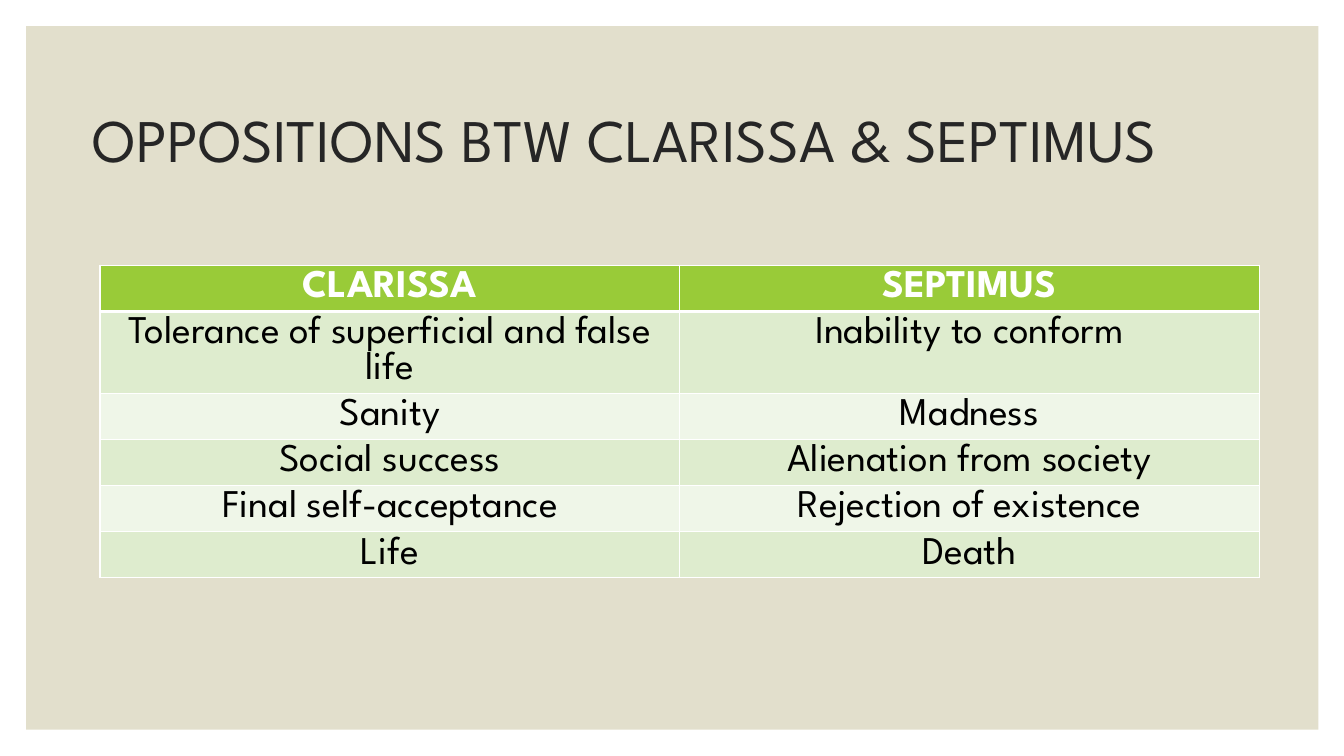
from lxml import etree
from pptx import Presentation
from pptx.dml.color import RGBColor
from pptx.enum import shapes, text
from pptx.oxml import ns
from pptx.util import Pt

FONT = "League Spartan"
WHITE = "FFFFFF"
HEADER_FILL = "99CB38"
BAND_FILLS = ("EFF6E8", "DEECCE")
OPPOSITIONS = [
    ("CLARISSA", "SEPTIMUS"),
    ("Tolerance of superficial and false life", "Inability to conform"),
    ("Sanity", "Madness"),
    ("Social success", "Alienation from society"),
    ("Final self-acceptance", "Rejection of existence"),
    ("Life", "Death"),
]


def color(value):
    return RGBColor.from_string(value)


def paint(fill, value):
    fill.solid()
    fill.fore_color.rgb = color(value)


def write(frame, words, size=28, ink="000000", bold=False,
          align=text.PP_ALIGN.CENTER, spacing=None):
    para = frame.paragraphs[0]
    para.alignment = align
    para.line_spacing = spacing
    span = para.add_run()
    span.text = words
    span.font.name = FONT
    span.font.size = Pt(size)
    span.font.bold = bold
    span.font.color.rgb = color(ink)


def add_panel(page):
    panel = page.shapes.add_shape(
        shapes.MSO_SHAPE.RECTANGLE, Pt(18.72), Pt(18.72), Pt(923), Pt(502.5))
    panel.shadow.inherit = False
    paint(panel.fill, "E2DFCC")
    panel.line.fill.background()
    # Send the panel behind the title
    page.shapes._spTree.insert(2, panel._element)


def add_title(page, words):
    title = page.shapes.title
    title.left, title.top = Pt(59), Pt(48.24)
    title.width, title.height = Pt(853.2), Pt(108)
    frame = title.text_frame
    frame.word_wrap = True
    frame.auto_size = text.MSO_AUTO_SIZE.NONE
    frame.vertical_anchor = text.MSO_ANCHOR.MIDDLE
    write(frame, words, size=43.2, ink="262626",
          align=text.PP_ALIGN.LEFT, spacing=0.9)


def add_borders(cell, **widths):
    properties = cell._tc.get_or_add_tcPr()
    for side in "LRTB":
        line = etree.SubElement(properties, ns.qn("a:ln" + side),
                                w=str(Pt(widths.get(side, 1))))
        fill = etree.SubElement(line, ns.qn("a:solidFill"))
        etree.SubElement(fill, ns.qn("a:srgbClr"), val=WHITE)


def add_grid(page, rows):
    table = page.shapes.add_table(
        len(rows), len(rows[0]), Pt(71.5), Pt(189.5), Pt(828), Pt(29.5 * len(rows))).table
    for index, words in enumerate(rows):
        header = index == 0
        # The rule under the header is thicker than the others
        widths = {0: {"B": 3}, 1: {"T": 3}}.get(index, {})
        for column, entry in enumerate(words):
            cell = table.cell(index, column)
            add_borders(cell, **widths)
            paint(cell.fill, HEADER_FILL if header else BAND_FILLS[index % 2])
            write(cell.text_frame, entry, bold=header,
                  ink=WHITE if header else "000000")


def main():
    deck = Presentation()
    deck.slide_width, deck.slide_height = Pt(960), Pt(540)
    page = deck.slides.add_slide(deck.slide_layouts[5])
    paint(page.background.fill, WHITE)
    add_panel(page)
    add_title(page, "OPPOSITIONS BTW CLARISSA & SEPTIMUS")
    add_grid(page, OPPOSITIONS)
    deck.save("out.pptx")


if __name__ == "__main__":
    main()
